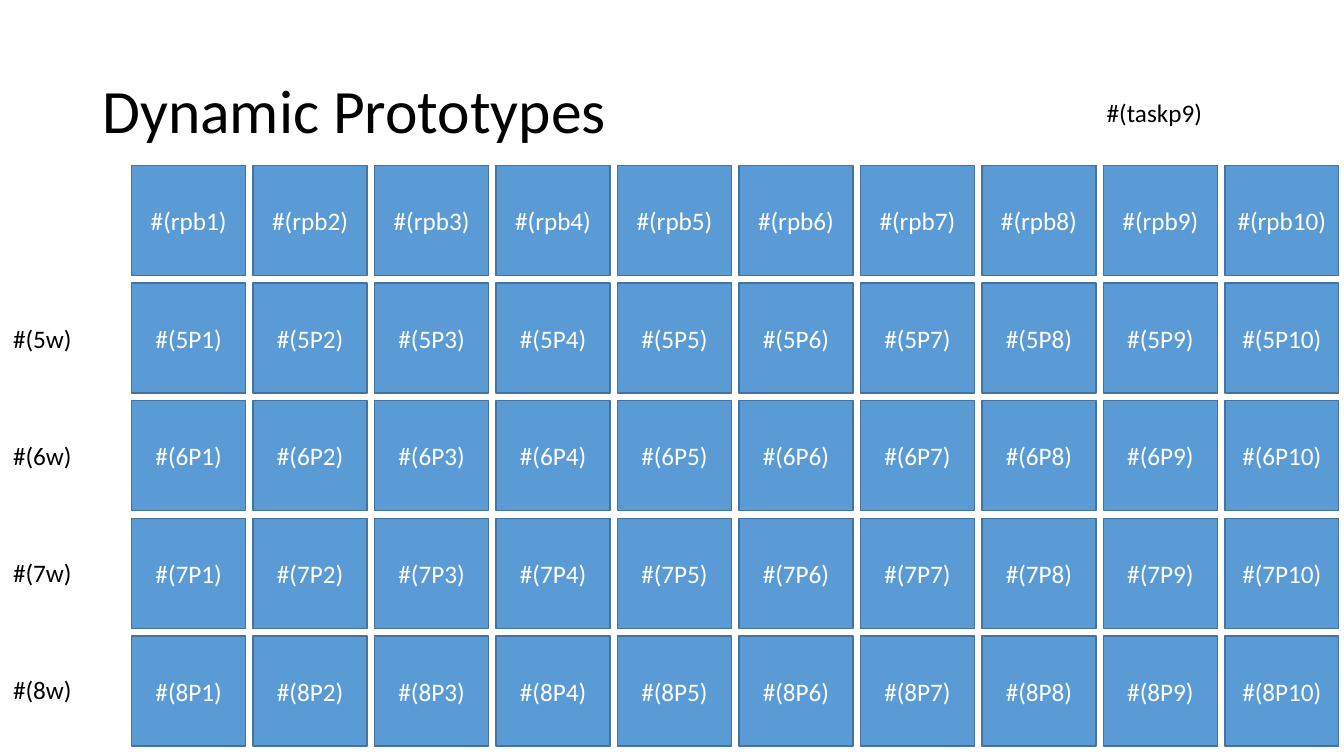
import pptx
import pptx.util
import pptx.dml.color
import pptx.enum.shapes
import pptx.enum.text

Cm = pptx.util.Cm
Pt = pptx.util.Pt
Anchor = pptx.enum.text.MSO_ANCHOR
Align = pptx.enum.text.PP_ALIGN

COLUMNS = 10
WEEKS = range(5, 9)
CELL_WIDTH, CELL_HEIGHT = 2.87, 2.77


def color(value):
    """Turn a hex string into a colour."""
    return pptx.dml.color.RGBColor.from_string(value)


def write(shape, text, size, ink, align, anchor):
    """Put one styled paragraph into a shape."""
    frame = shape.text_frame
    frame.word_wrap = True
    frame.vertical_anchor = anchor
    para = frame.paragraphs[0]
    para.text = text
    para.alignment = align
    para.font.size = Pt(size)
    para.font.name = "Calibri"
    para.font.color.rgb = color(ink)
    return para


def add_label(page, box, text, size=18, anchor=Anchor.TOP):
    """Add black left-aligned text in the box."""
    label = page.shapes.add_textbox(*map(Cm, box))
    return write(label, text, size, "000000", Align.LEFT, anchor)


def add_cell(page, box, text):
    """Add one blue prototype cell."""
    cell = page.shapes.add_shape(pptx.enum.shapes.MSO_SHAPE.RECTANGLE, *map(Cm, box))
    cell.shadow.inherit = False
    cell.fill.solid()
    cell.fill.fore_color.rgb = color("5B9BD5")
    cell.line.color.rgb = color("43739E")
    cell.line.width = Pt(1)
    write(cell, text, 18, "FFFFFF", Align.CENTER, Anchor.MIDDLE)


def add_prototype_grid(page, box):
    """Spread the header row and the week rows evenly over the box."""
    left, top, width, height = box
    prefixes = ["rpb"] + [f"{week}P" for week in WEEKS]
    column_step = (width - CELL_WIDTH) / (COLUMNS - 1)
    row_step = (height - CELL_HEIGHT) / (len(prefixes) - 1)
    for row, prefix in enumerate(prefixes):
        for column in range(COLUMNS):
            place = (left + column * column_step, top + row * row_step, CELL_WIDTH, CELL_HEIGHT)
            add_cell(page, place, f"#({prefix}{column + 1})")


def add_week_labels(page, box):
    """Stack the week labels evenly from the top to the bottom of the box."""
    left, top, width, height = box
    label_height = 1.02
    step = (height - label_height) / (len(WEEKS) - 1)
    for row, week in enumerate(WEEKS):
        add_label(page, (left, top + row * step, width, label_height), f"#({week}w)")


def add_heading(page, box):
    """Add the title and, near the right end of the box, the task label."""
    left, top, width, height = box
    title = add_label(page, box, "Dynamic Prototypes", 44, Anchor.MIDDLE)
    title.line_spacing = 0.9
    add_label(page, (left + width - 3.9, top + 1.32, 5.23, 1.02), "#(taskp9)")


def build_deck():
    """Build and save the one-slide deck."""
    deck = pptx.Presentation()
    deck.slide_width, deck.slide_height = Cm(33.87), Cm(19.05)
    page = deck.slides.add_slide(deck.slide_layouts[6])
    add_heading(page, (2.33, 1.01, 29.21, 3.68))
    add_prototype_grid(page, (3.32, 4.17, 30.42, 14.63))
    add_week_labels(page, (0.08, 8.03, 2.97, 9.86))
    deck.save("out.pptx")


build_deck()
